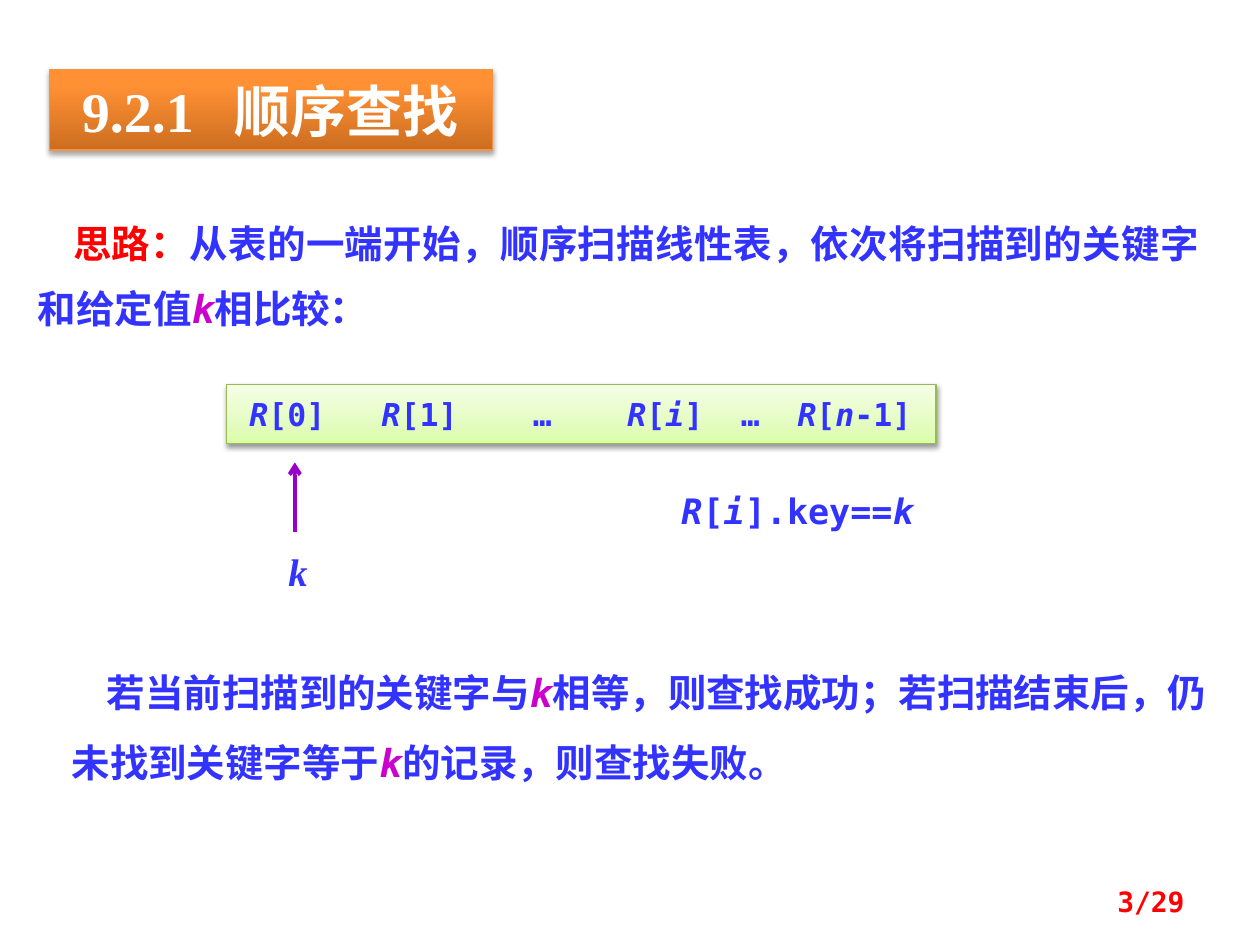
from lxml import etree
from pptx import Presentation
from pptx.dml.color import RGBColor
from pptx.enum.shapes import MSO_CONNECTOR, MSO_SHAPE
from pptx.enum.text import MSO_ANCHOR, MSO_AUTO_SIZE, PP_ALIGN
from pptx.oxml import parse_xml
from pptx.oxml.ns import nsdecls, qn
from pptx.util import Inches, Pt

COLORS = {"blue": "3333FF", "red": "FF0000", "magenta": "CC00CC", "purple": "9900CC",
          "white": "FFFFFF", "orange": "F69240", "green": "98B955"}
MONO, SERIF = "DejaVu Sans Mono", "Times New Roman"


def add_runs(p, parts, size, name=MONO):
    for text, color, italic in parts:
        r = p.add_run()
        r.text = text
        r.font.size, r.font.name = Pt(size), name
        r.font.bold, r.font.italic = True, italic
        r.font.color.rgb = RGBColor.from_string(COLORS[color])


def style_panel(sp, stops, line, alpha, dist, tabs):
    gs = "".join(f'<a:gs pos="{pos * 1000}"><a:srgbClr val="{c}"/></a:gs>' for pos, c in stops)
    sp._element.spPr.append(parse_xml(
        f'<a:gradFill {nsdecls("a")} rotWithShape="1"><a:gsLst>{gs}</a:gsLst>'
        '<a:lin ang="16200000" scaled="0"/></a:gradFill>'))
    sp.line.color.rgb = RGBColor.from_string(COLORS[line])
    sp.line.width = Pt(0.75)
    sp.shadow.inherit = False
    sp._element.spPr.find(qn("a:effectLst")).append(parse_xml(
        f'<a:outerShdw {nsdecls("a")} blurRad="{Pt(3.1)}" dist="{Pt(dist)}" dir="5400000" rotWithShape="0">'
        f'<a:srgbClr val="000000"><a:alpha val="{alpha * 1000}"/></a:srgbClr></a:outerShdw>'))
    tf = sp.text_frame
    tf.auto_size, tf.vertical_anchor, tf.word_wrap = MSO_AUTO_SIZE.NONE, MSO_ANCHOR.MIDDLE, True
    p = tf.paragraphs[0]
    p.alignment = PP_ALIGN.LEFT
    tab_list = etree.SubElement(p._p.get_or_add_pPr(), qn("a:tabLst"))
    for pos in tabs:
        etree.SubElement(tab_list, qn("a:tab"), pos=str(Inches(pos)), algn="l")


prs = Presentation()
prs.slide_width, prs.slide_height = Inches(10), Inches(7.5)
s = prs.slides.add_slide(prs.slide_layouts[1])

title = s.shapes.title
title.left, title.top, title.width, title.height = [Inches(v) for v in (0.39, 0.55, 3.52, 0.64)]
style_panel(title, [(0, "CC6E20"), (80, "FF9034"), (100, "FF9136")], "orange", 35, 1.8, [1.21])
title.text_frame.margin_left = Inches(0.26)
add_runs(title.text_frame.paragraphs[0], [("9.2.1\t顺序查找", "white", False)], 32, SERIF)

idea = s.placeholders[1]
idea.left, idea.top, idea.width, idea.height = [Inches(v) for v in (0.2, 1.55, 9.42, 1.14)]
result = s.shapes.add_textbox(Inches(0.47), Inches(5.08), Inches(9.22), Inches(1.21))
k = ("k", "magenta", True)
paragraphs = [
    (idea, 1.4, PP_ALIGN.JUSTIFY, [
        ("思路：", "red", False),
        ("从表的一端开始，顺序扫描线性表，依次将扫描到的关键字和给定值", "blue", False),
        k, ("相比较：", "blue", False)]),
    (result, 1.5, PP_ALIGN.LEFT, [
        ("若当前扫描到的关键字与", "blue", False), k,
        ("相等，则查找成功；若扫描结束后，仍未找到关键字等于", "blue", False), k,
        ("的记录，则查找失败。", "blue", False)]),
]
for sp, spacing, align, parts in paragraphs:
    tf = sp.text_frame
    tf.word_wrap, tf.auto_size = True, MSO_AUTO_SIZE.NONE
    p = tf.paragraphs[0]
    p.alignment, p.line_spacing, p.space_before = align, spacing, Pt(0)
    pPr = p._p.get_or_add_pPr()
    pPr.set("marL", "0")
    pPr.set("indent", str(Inches(0.28)))
    etree.SubElement(pPr, qn("a:buNone"))
    add_runs(p, parts, 22)

char_width = 0.15
table = s.shapes.add_shape(MSO_SHAPE.RECTANGLE, Inches(1.8), Inches(3.05), Inches(5.63), Inches(0.47))
style_panel(table, [(0, "DAFDA7"), (35, "E4FCC2"), (100, "F5FFE7")], "green", 38, 1.6,
            [n * char_width for n in (7, 15, 20, 26, 29)])
table.text_frame.margin_left = Inches(0.18)
row = ["R", "[0]\t", "R", "[1]\t…\t", "R", "[", "i", "]\t…\t", "R", "[", "n", "-1]"]
add_runs(table.text_frame.paragraphs[0], [(t, "blue", t.isalpha()) for t in row], 18)

pointer = s.shapes.add_group_shape()
arrow = pointer.shapes.add_connector(MSO_CONNECTOR.STRAIGHT, Inches(2.34), Inches(4.22),
                                     Inches(2.34), Inches(3.67))
arrow.line.color.rgb = RGBColor.from_string(COLORS["purple"])
arrow.line.width = Pt(2.25)
etree.SubElement(arrow.line._get_or_add_ln(), qn("a:tailEnd"), type="arrow")
etree.SubElement(arrow._element.spPr, qn("a:effectLst"))

condition = [(t, "blue", t.isalpha()) for t in ("R", "[", "i", "].key==", "k")]
labels = [
    (pointer.shapes, (2.19, 4.3, 0.47, 0.47), [("k", "blue", True)], 22, SERIF, PP_ALIGN.LEFT),
    (s.shapes, (5.31, 3.83, 2.11, 0.44), condition, 20, MONO, PP_ALIGN.LEFT),
    (s.shapes, (7.17, 6.95, 2.33, 0.4), [("3/29", "red", False)], 16, MONO, PP_ALIGN.RIGHT),
]
for shapes, box, parts, size, name, align in labels:
    tf = shapes.add_textbox(*[Inches(v) for v in box]).text_frame
    tf.word_wrap, tf.vertical_anchor = True, MSO_ANCHOR.MIDDLE
    tf.paragraphs[0].alignment = align
    add_runs(tf.paragraphs[0], parts, size, name)

prs.save("out.pptx")
